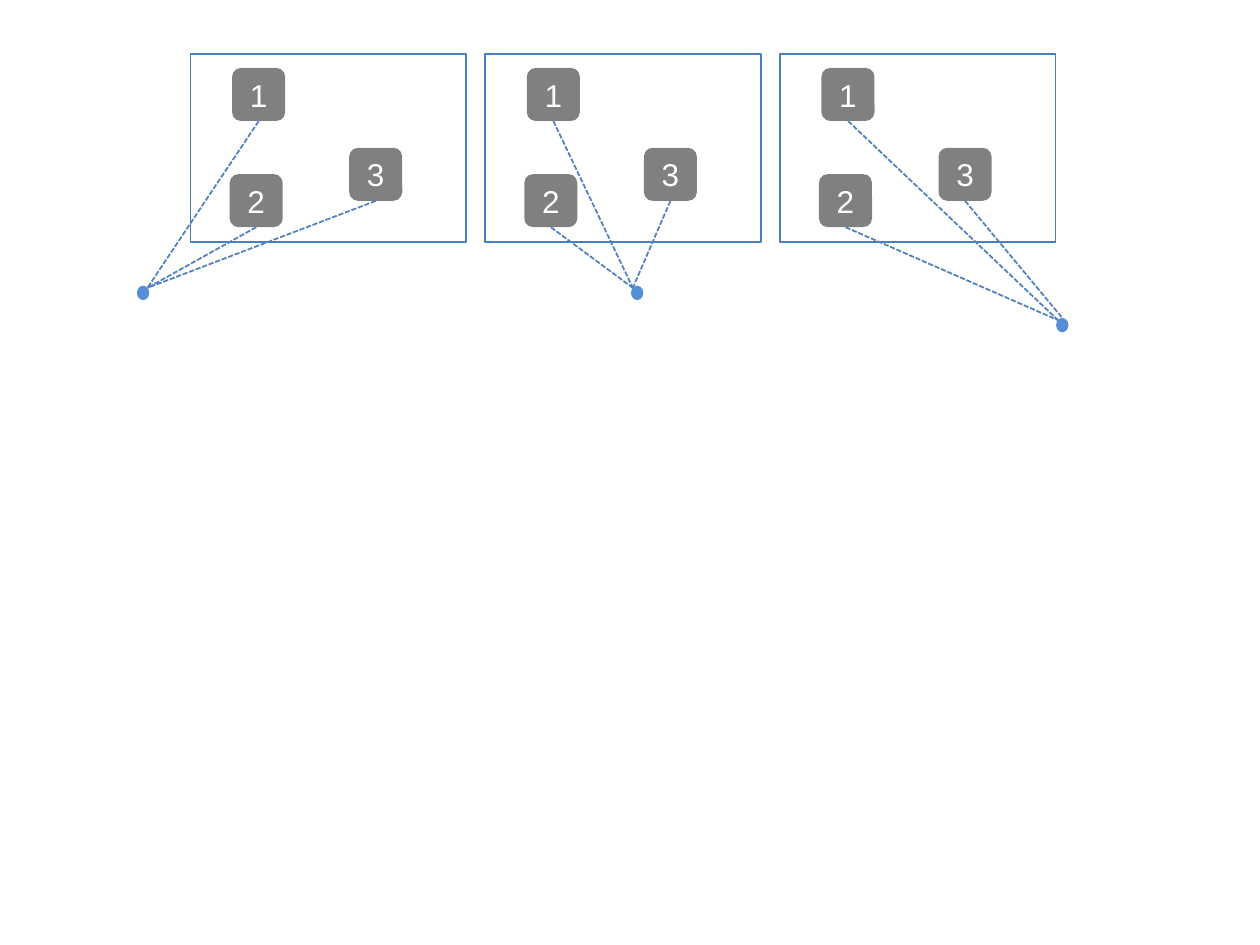
from dataclasses import dataclass

from lxml import etree
from pptx import Presentation
from pptx.dml.color import RGBColor
from pptx.enum.dml import MSO_LINE
from pptx.enum.shapes import MSO_CONNECTOR, MSO_SHAPE
from pptx.enum.text import MSO_ANCHOR, PP_ALIGN
from pptx.oxml.ns import qn
from pptx.util import Cm, Pt

RECTANGLE = MSO_SHAPE.RECTANGLE
ROUNDED = MSO_SHAPE.ROUNDED_RECTANGLE
OVAL = MSO_SHAPE.OVAL
STRAIGHT = MSO_CONNECTOR.STRAIGHT
DASH = MSO_LINE.SQUARE_DOT
MIDDLE = MSO_ANCHOR.MIDDLE
CENTER = PP_ALIGN.CENTER
BOTTOM_SIDE = 2


@dataclass(frozen=True)
class Theme:
    tile: RGBColor = RGBColor(0x80, 0x80, 0x80)
    label: RGBColor = RGBColor(0xFF, 0xFF, 0xFF)
    frame: RGBColor = RGBColor(0x4B, 0x7E, 0xBC)
    ray: RGBColor = RGBColor(0x4F, 0x81, 0xBD)
    viewpoint: RGBColor = RGBColor(0x55, 0x8E, 0xD5)
    font: str = "Arial"
    label_size: Pt = Pt(18)
    line_width: Pt = Pt(1)


THEME = Theme()
FRAME_LEFT, FRAME_TOP = 3.84, 1.09
FRAME_WIDTH, FRAME_HEIGHT = 5.56, 3.79
FRAME_PITCH = 5.94
TILE_SIZE = 1.07
TILE_OFFSETS = {"1": (0.84, 0.28), "2": (0.79, 2.42), "3": (3.2, 1.89)}
DOT_WIDTH, DOT_HEIGHT = 0.25, 0.29
TOP_LEFT, TOP, TOP_RIGHT = (0.15, 0.15), (0.5, 0), (0.85, 0.15)
SCENES = [
    ((2.76, 5.76), {"1": TOP_RIGHT, "3": TOP_RIGHT, "2": TOP_RIGHT}),
    ((12.72, 5.76), {"1": TOP_LEFT, "3": TOP_LEFT, "2": TOP_LEFT}),
    ((21.29, 6.41), {"1": TOP_LEFT, "3": TOP, "2": TOP_LEFT}),
]


def apply_format(target, values):
    for name, value in values.items():
        setattr(target, name, value)


def add_box(group, kind, left, top, width, height, fill=None, line=None):
    box = group.shapes.add_shape(kind, Cm(left), Cm(top), Cm(width), Cm(height))
    box.shadow.inherit = False
    if fill is None:
        box.fill.background()
    else:
        box.fill.solid()
        box.fill.fore_color.rgb = fill
    if line is None:
        box.line.fill.background()
    else:
        box.line.color.rgb = line
        box.line.width = THEME.line_width
    return box


def add_tile(group, label, left, top):
    tile = add_box(group, ROUNDED, left, top, TILE_SIZE, TILE_SIZE, fill=THEME.tile)
    apply_format(tile.text_frame, {
        "margin_left": 0, "margin_right": 0, "margin_top": 0, "margin_bottom": 0,
        "vertical_anchor": MIDDLE,
    })
    para = tile.text_frame.paragraphs[0]
    para.alignment = CENTER
    span = para.add_run()
    span.text = label
    apply_format(span.font, {"name": THEME.font, "size": THEME.label_size})
    span.font.color.rgb = THEME.label
    return tile


def add_ray(group, tile, end_x, end_y):
    ray = group.shapes.add_connector(
        STRAIGHT, tile.left + tile.width // 2, tile.top + tile.height,
        Cm(end_x), Cm(end_y))
    ray.begin_connect(tile, BOTTOM_SIDE)
    ray.line.color.rgb = THEME.ray
    apply_format(ray.line, {"width": THEME.line_width, "dash_style": DASH})
    etree.SubElement(ray.line._get_or_add_ln().getparent(), qn("a:effectLst"))


def add_scene(page, frame_left, viewpoint, landings):
    group = page.shapes.add_group_shape()
    tiles = {
        label: add_tile(group, label, frame_left + across, FRAME_TOP + down)
        for label, (across, down) in TILE_OFFSETS.items()
    }
    add_box(group, RECTANGLE, frame_left, FRAME_TOP, FRAME_WIDTH, FRAME_HEIGHT,
            line=THEME.frame)
    dot_left, dot_top = viewpoint
    for label, (across, down) in landings.items():
        add_ray(group, tiles[label],
                dot_left + across * DOT_WIDTH, dot_top + down * DOT_HEIGHT)
    add_box(group, OVAL, dot_left, dot_top, DOT_WIDTH, DOT_HEIGHT,
            fill=THEME.viewpoint)


def main():
    deck = Presentation()
    apply_format(deck, {"slide_width": Cm(25.4), "slide_height": Cm(19.05)})
    page = deck.slides.add_slide(deck.slide_layouts[6])
    for index, (viewpoint, landings) in enumerate(SCENES):
        add_scene(page, FRAME_LEFT + index * FRAME_PITCH, viewpoint, landings)
    deck.save("out.pptx")


if __name__ == "__main__":
    main()
